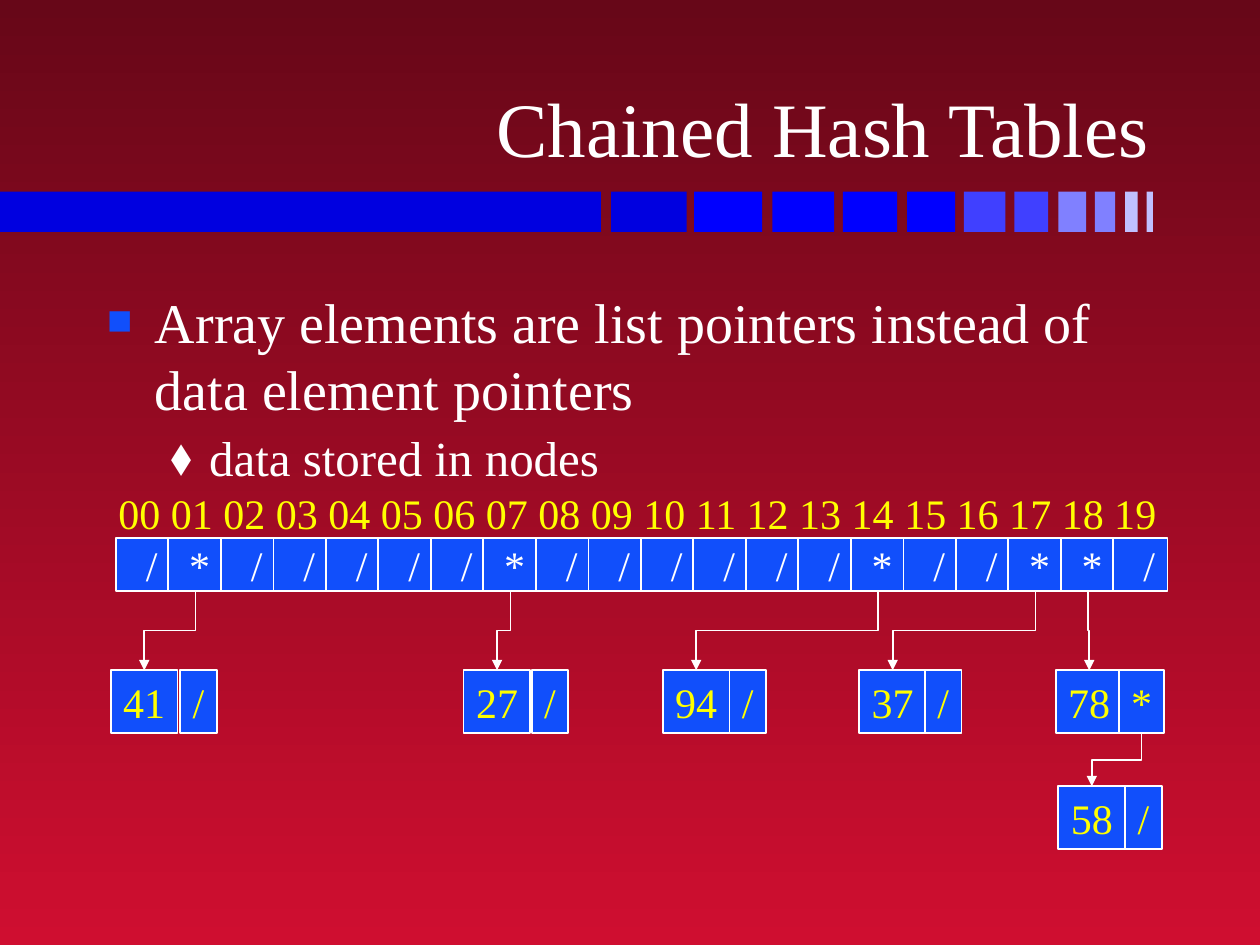
from lxml import etree
from pptx import Presentation
from pptx.dml.color import RGBColor
from pptx.enum import shapes, text
from pptx.oxml.ns import qn
from pptx.util import Inches, Pt

COLORS = {
    "top": "670718", "bottom": "CF0E30", "white": "FFFFFF", "yellow": "FFFF00",
    "box": "114FFB", "navy": "0000E0", "blue": "0000FF", "mid": "4040FF",
    "light": "8080FF", "pale": "C0C0FF",
}
FONT = "Times New Roman"


def add_run(paragraph, words, size, color):
    run = paragraph.add_run()
    run.text = words
    run.font.name = FONT
    run.font.size = Pt(size)
    run.font.color.rgb = RGBColor.from_string(COLORS[color])


def add_box(parent, left, top, width, height, fill, label=None, color="white", align=None):
    box = parent.add_shape(shapes.MSO_SHAPE.RECTANGLE, Inches(left), Inches(top),
                           Inches(width), Inches(height))
    box.shadow.inherit = False
    box.fill.solid()
    box.fill.fore_color.rgb = RGBColor.from_string(COLORS[fill])
    if label is None:
        box.line.fill.background()
        return box
    box.line.color.rgb = RGBColor.from_string(COLORS["white"])
    box.line.width = Pt(1)
    box.text_frame.word_wrap = False
    box.text_frame.vertical_anchor = text.MSO_ANCHOR.MIDDLE
    paragraph = box.text_frame.paragraphs[0]
    paragraph.alignment = align or text.PP_ALIGN.LEFT
    add_run(paragraph, label, 24, color)
    return box


prs = Presentation()
prs.slide_width, prs.slide_height = Inches(10), Inches(7.5)
slide = prs.slides.add_slide(prs.slide_layouts[1])

# Background gradient, dark at the top
backdrop = slide.background.fill
backdrop.gradient()
backdrop.gradient_angle = 270
for stop, name in zip(backdrop.gradient_stops, ("top", "bottom")):
    stop.color.rgb = RGBColor.from_string(COLORS[name])

# Bar that breaks into ever narrower pieces
for left, width, fill in [
    (0, 4.77, "navy"), (4.85, 0.6, "navy"), (5.51, 0.54, "blue"), (6.13, 0.49, "blue"),
    (6.69, 0.43, "blue"), (7.2, 0.38, "blue"), (7.65, 0.33, "mid"), (8.05, 0.27, "mid"),
    (8.4, 0.22, "light"), (8.69, 0.16, "light"), (8.93, 0.1, "pale"), (9.1, 0.05, "pale"),
]:
    add_box(slide.shapes, left, 1.52, width, 0.32, fill)

# Title
title = slide.shapes.title
title.left, title.top, title.width, title.height = map(Inches, (0.74, 0.19, 8.48, 1.23))
title.text_frame.vertical_anchor = text.MSO_ANCHOR.BOTTOM
title.text_frame.auto_size = text.MSO_AUTO_SIZE.NONE
title.text_frame.paragraphs[0].alignment = text.PP_ALIGN.RIGHT
add_run(title.text_frame.paragraphs[0], "Chained Hash Tables", 44, "white")

# Bulleted list
body = slide.placeholders[1]
body.left, body.top, body.width, body.height = map(Inches, (0.75, 2.23, 8.5, 4.44))
body.text_frame.auto_size = text.MSO_AUTO_SIZE.NONE
points = [
    ("Array elements are list pointers instead of data element pointers",
     32, 0.38, -0.38, 0, "■", "box", 75),
    ("data stored in nodes", 28, 0.81, -0.31, 3.5, "⬧", "white", 100),
]
for level, (words, size, margin, indent, before, mark, mark_color, percent) in enumerate(points):
    point = body.text_frame.add_paragraph() if level else body.text_frame.paragraphs[0]
    point.level = level
    props = point._p.get_or_add_pPr()
    props.set("marL", str(Inches(margin)))
    props.set("indent", str(Inches(indent)))
    bullet_color = etree.SubElement(props, qn("a:buClr"))
    etree.SubElement(bullet_color, qn("a:srgbClr"), val=COLORS[mark_color])
    etree.SubElement(props, qn("a:buSzPct"), val=str(percent * 1000))
    etree.SubElement(props, qn("a:buFont"), typeface=FONT)
    etree.SubElement(props, qn("a:buChar"), char=mark)
    point.space_before = Pt(before)
    add_run(point, words, size, "white")

# Hash table: slot numbers above a row of pointers
SLOTS = 20
PITCH = 5 / 12
used_slots = (1, 7, 14, 17, 18)
cells = [
    add_box(slide.shapes, 0.92 + slot * PITCH, 4.27, 0.43, 0.42, "box",
            "*" if slot in used_slots else "/", align=text.PP_ALIGN.RIGHT)
    for slot in range(SLOTS)
]
numbers = slide.shapes.add_textbox(Inches(0.84), Inches(3.82), Inches(8.45), Inches(0.5))
numbers.text_frame.word_wrap = False
add_run(numbers.text_frame.paragraphs[0],
        " ".join(f"{slot:02d}" for slot in range(SLOTS)), 24, "yellow")

# Nodes: a value beside its next pointer
nodes = {}
for value, left, pointer_left, top, pointer in [
    ("41", 0.88, 1.43, 5.32, "/"), ("27", 3.68, 4.22, 5.32, "/"),
    ("94", 5.26, 5.79, 5.32, "/"), ("37", 6.82, 7.34, 5.32, "/"),
    ("78", 8.38, 8.88, 5.32, "*"), ("58", 8.4, 8.93, 6.24, "/"),
]:
    node = slide.shapes.add_group_shape().shapes
    pointer_width = 0.36 if pointer == "*" else 0.29
    nodes[value] = (
        add_box(node, left, top, 0.53, 0.5, "box", value, "yellow"),
        add_box(node, pointer_left, top, pointer_width, 0.5, "box", pointer, "yellow"),
    )

# Links from each pointer down to the node it refers to
links = [(cells[slot], nodes[value][0])
         for slot, value in zip(used_slots, ("41", "27", "94", "37", "78"))]
links.append((nodes["78"][1], nodes["58"][0]))
for source, target in links:
    link = slide.shapes.add_connector(shapes.MSO_CONNECTOR.ELBOW, 0, 0, 0, 0)
    link.begin_connect(source, 2)
    link.end_connect(target, 0)
    start_x, start_y, end_x, end_y = link.begin_x, link.begin_y, link.end_x, link.end_y

    # A quarter turn makes the elbow leave and arrive vertically
    drop, shift = end_y - start_y, abs(end_x - start_x)
    link.left = (start_x + end_x - drop) // 2
    link.top = (start_y + end_y - shift) // 2
    link.width, link.height = drop, shift
    frame = link._element.spPr.find(qn("a:xfrm"))
    frame.attrib.pop("flipH", None)
    frame.set("rot", "5400000")
    if end_x > start_x:
        frame.set("flipV", "1")

    link.line.color.rgb = RGBColor.from_string(COLORS["white"])
    link.line.width = Pt(1)
    etree.SubElement(link.line._get_or_add_ln(), qn("a:tailEnd"), type="triangle")
    etree.SubElement(link._element.spPr, qn("a:effectLst"))

prs.save("out.pptx")
